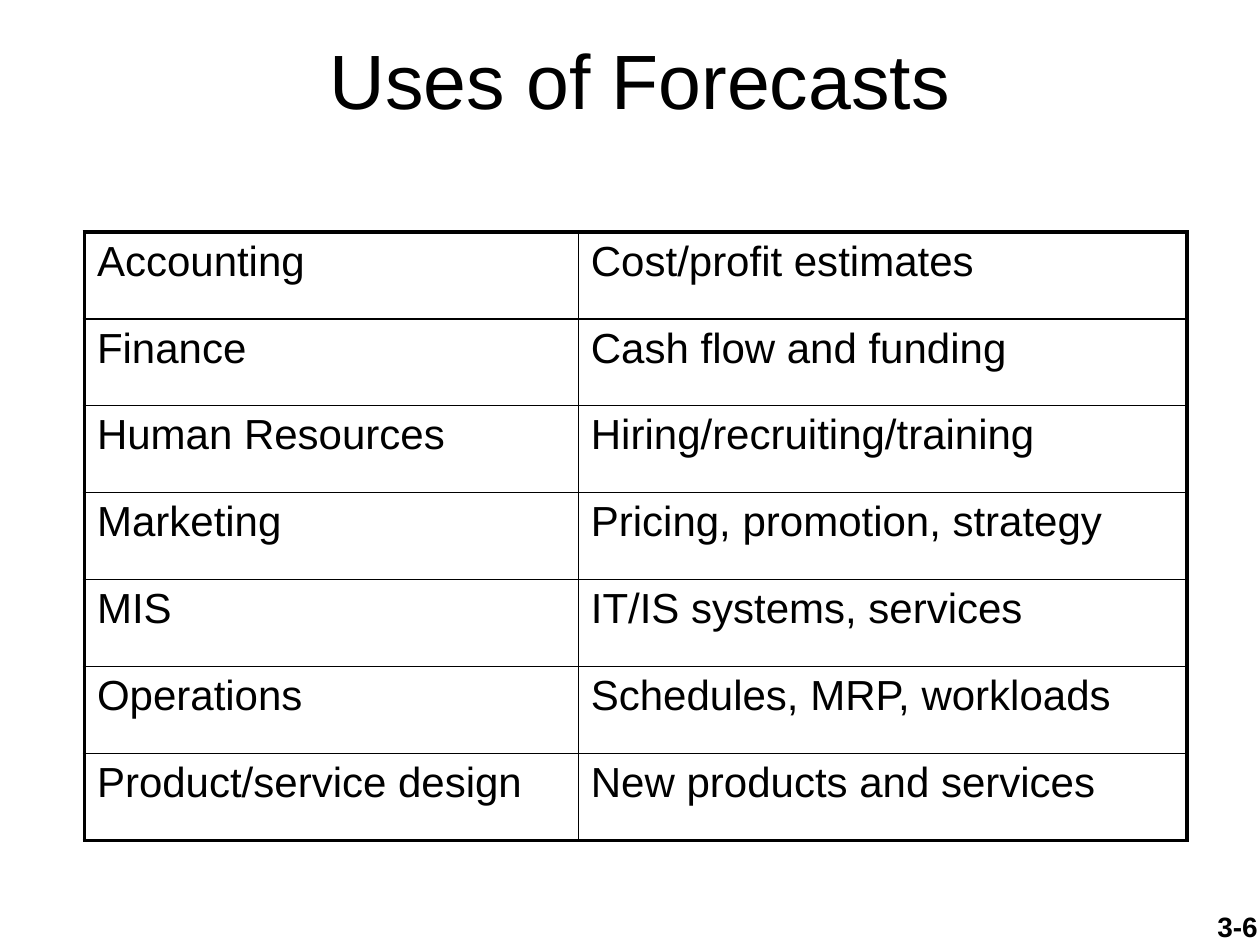
from dataclasses import dataclass
from typing import NamedTuple

from lxml.etree import SubElement as Sub
from pptx import Presentation
from pptx.dml.color import RGBColor as Rgb
from pptx.enum.text import MSO_ANCHOR as Anchor, PP_ALIGN as Align
from pptx.oxml.ns import qn
from pptx.util import Inches, Pt


@dataclass(frozen=True)
class Theme:
    font: str = "Arial"
    ink: str = "000000"
    title: float = 44
    body: float = 24
    page: float = 16
    thick: float = 2.25
    thin: float = 1


class Box(NamedTuple):
    left: float
    top: float
    width: float
    height: float


class Use(NamedTuple):
    field: str
    need: str


THEME = Theme()
COLS = (3.92, 4.83)
ROW = 0.69
USES = [
    Use("Accounting", "Cost/profit estimates"),
    Use("Finance", "Cash flow and funding"),
    Use("Human Resources", "Hiring/recruiting/training"),
    Use("Marketing", "Pricing, promotion, strategy"),
    Use("MIS", "IT/IS systems, services"),
    Use("Operations", "Schedules, MRP, workloads"),
    Use("Product/service design", "New products and services"),
]


def write(frame, text: str, *, size: float, bold: bool = False,
          align=Align.LEFT, anchor=Anchor.TOP) -> None:
    frame.word_wrap = True
    frame.vertical_anchor = anchor
    para = frame.paragraphs[0]
    para.alignment = align
    run = para.add_run()
    run.text = text
    font = run.font
    font.name, font.size, font.bold = THEME.font, Pt(size), bold
    font.color.rgb = Rgb.from_string(THEME.ink)


def add_text(slide, box: Box, text: str, **style) -> None:
    shape = slide.shapes.add_textbox(*map(Inches, box))
    write(shape.text_frame, text, **style)


def rule(cell, outer: dict[str, bool]) -> None:
    """Draw the cell's borders, thick on the outer sides of the table."""
    props = cell._tc.get_or_add_tcPr()
    for place, (side, edge) in enumerate(outer.items()):
        width = Pt(THEME.thick if edge else THEME.thin)
        line = Sub(props, qn(f"a:ln{side}"), w=str(width))
        fill = Sub(line, qn("a:solidFill"))
        Sub(fill, qn("a:srgbClr"), val=THEME.ink)
        props.insert(place, line)  # borders come before the fill


def add_uses(slide, left: float, top: float) -> None:
    rows, cols = len(USES), len(COLS)
    box = Box(left, top, sum(COLS), ROW * rows)
    table = slide.shapes.add_table(rows, cols, *map(Inches, box)).table
    table.first_row = table.horz_banding = False
    for col, width in zip(table.columns, COLS):
        col.width = Inches(width)
    for r, use in enumerate(USES):
        table.rows[r].height = Inches(ROW)
        for c, text in enumerate(use):
            cell = table.cell(r, c)
            cell.fill.background()
            write(cell.text_frame, text, size=THEME.body)
            rule(cell, {"L": c == 0, "R": c == cols - 1,
                        "T": r == 0, "B": r == rows - 1})


def main() -> None:
    deck = Presentation()
    deck.slide_width, deck.slide_height = Inches(10), Inches(7.5)
    slide = deck.slides.add_slide(deck.slide_layouts[6])
    add_text(slide, Box(7.75, 7.17, 2.33, 0.52), "3-6",
             size=THEME.page, bold=True, align=Align.RIGHT)
    add_uses(slide, 0.67, 1.84)
    add_text(slide, Box(0.83, 0.19, 8.5, 0.85), "Uses of Forecasts",
             size=THEME.title, align=Align.CENTER, anchor=Anchor.BOTTOM)
    deck.save("out.pptx")


if __name__ == "__main__":
    main()
